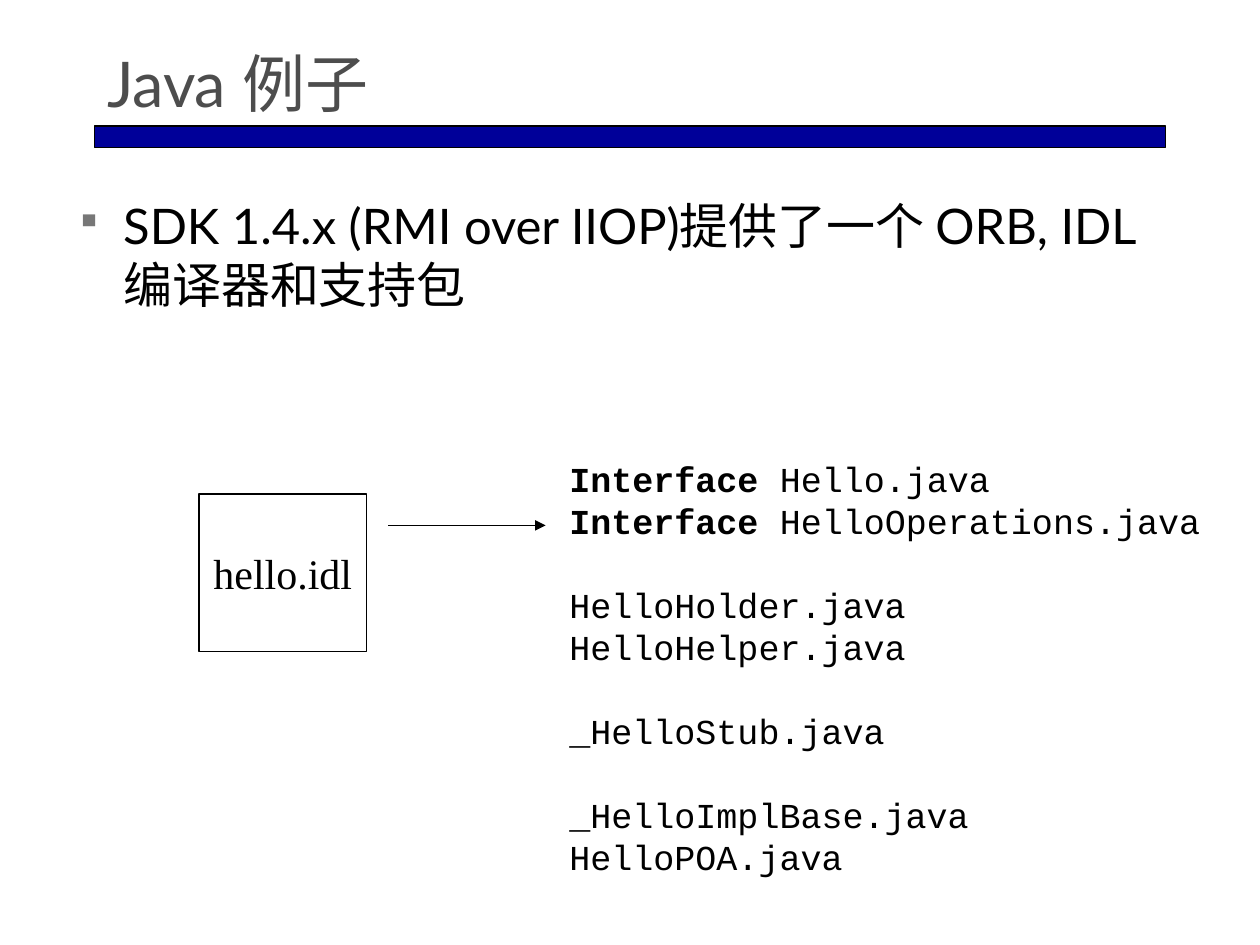
from dataclasses import dataclass

from lxml.etree import SubElement
from pptx import Presentation
from pptx.dml.color import RGBColor as RGB
from pptx.enum.shapes import MSO_CONNECTOR as Connector, MSO_SHAPE as Shape
from pptx.enum.text import MSO_ANCHOR as Anchor, MSO_AUTO_SIZE as AutoSize, PP_ALIGN as Align
from pptx.oxml.ns import qn
from pptx.util import Inches, Pt


@dataclass(frozen=True)
class Theme:
    title: RGB = RGB(0x4D, 0x4D, 0x4D)
    ink: RGB = RGB(0, 0, 0)
    paper: RGB = RGB(0xFF, 0xFF, 0xFF)
    bar: RGB = RGB(0, 0, 0x99)
    bullet: str = "777777"
    sans: str = "Lato"
    serif: str = "Times New Roman"
    mono: str = "Courier New"
    title_size: Pt = Pt(36)
    body_size: Pt = Pt(28)
    label_size: Pt = Pt(24)
    code_size: Pt = Pt(20)
    code_pitch: Pt = Pt(24)
    line_width: Pt = Pt(0.75)


THEME = Theme()

# Groups of generated files; each line is (keyword, file name)
FILE_GROUPS = [
    [("Interface ", "Hello.java"), ("Interface ", "HelloOperations.java")],
    [("", "HelloHolder.java"), ("", "HelloHelper.java")],
    [("", "_HelloStub.java")],
    [("", "_HelloImplBase.java"), ("", "HelloPOA.java")],
]


def inches(*lengths):
    return [Inches(length) for length in lengths]


def style_span(span, font, size, color=THEME.ink, bold=False):
    span.font.name = font
    span.font.size = size
    span.font.color.rgb = color
    span.font.bold = bold


def set_title(page, text, place):
    title = page.shapes.title
    title.left, title.top, title.width, title.height = inches(*place)
    frame = title.text_frame
    frame.text = text
    frame.auto_size = AutoSize.NONE
    frame.vertical_anchor = Anchor.BOTTOM
    para = frame.paragraphs[0]
    para.alignment = Align.LEFT
    style_span(para.runs[0], THEME.sans, THEME.title_size, THEME.title)


def add_rectangle(page, place, fill):
    box = page.shapes.add_shape(Shape.RECTANGLE, *inches(*place))
    box.shadow.inherit = False
    box.fill.solid()
    box.fill.fore_color.rgb = fill
    box.line.color.rgb = THEME.ink
    box.line.width = THEME.line_width
    return box


def add_label_box(page, text, place):
    frame = add_rectangle(page, place, THEME.paper).text_frame
    frame.text = text
    frame.word_wrap = False
    frame.vertical_anchor = Anchor.MIDDLE
    para = frame.paragraphs[0]
    para.alignment = Align.CENTER
    style_span(para.runs[0], THEME.serif, THEME.label_size)


def add_text_box(page, place):
    frame = page.shapes.add_textbox(*inches(*place)).text_frame
    frame.word_wrap = True
    return frame


def add_bullet_text(page, text, place):
    frame = add_text_box(page, place)
    frame.text = text
    para = frame.paragraphs[0]
    para.space_before = Pt(7)
    style_span(para.runs[0], THEME.sans, THEME.body_size)
    # Hanging square bullet
    props = para._p.get_or_add_pPr()
    indent = Inches(0.38)
    props.set("marL", str(indent))
    props.set("indent", str(-indent))
    color = SubElement(props, qn("a:buClr"))
    SubElement(color, qn("a:srgbClr"), val=THEME.bullet)
    SubElement(props, qn("a:buSzPct"), val="75000")
    SubElement(props, qn("a:buChar"), char="▪")


def add_arrow(page, start, end):
    arrow = page.shapes.add_connector(Connector.STRAIGHT, *inches(*start, *end))
    arrow.line.color.rgb = THEME.ink
    arrow.line.width = THEME.line_width
    SubElement(arrow.line._get_or_add_ln(), qn("a:tailEnd"), type="triangle")
    SubElement(arrow._element.spPr, qn("a:effectLst"))


def add_file_list(page, groups, place):
    frame = add_text_box(page, place)
    para = frame.paragraphs[0]
    for group_index, group in enumerate(groups):
        for line_index, (keyword, name) in enumerate(group):
            if group_index or line_index:
                para = frame.add_paragraph()
            para.line_spacing = THEME.code_pitch
            # One line of space between groups
            if group_index and not line_index:
                para.space_before = THEME.code_pitch
            for text, bold in ((keyword, True), (name, False)):
                if text:
                    span = para.add_run()
                    span.text = text
                    style_span(span, THEME.mono, THEME.code_size, bold=bold)


def main():
    deck = Presentation()
    deck.slide_width, deck.slide_height = inches(10, 7.5)
    page = deck.slides.add_slide(deck.slide_layouts.get_by_name("Title Only"))

    # Heading
    add_rectangle(page, (0.75, 1, 8.5, 0.17), THEME.bar)
    set_title(page, "Java 例子", (0.75, 0.33, 8.5, 0.67))

    # Statement
    add_bullet_text(page, "SDK 1.4.x (RMI over IIOP)提供了一个 ORB, IDL 编译器和支持包",
                    (0.5, 1.5, 9, 5.42))

    # From the IDL file to the generated files
    add_label_box(page, "hello.idl", (1.58, 3.92, 1.33, 1.25))
    add_arrow(page, (3.08, 4.17), (4.33, 4.17))
    add_file_list(page, FILE_GROUPS, (4.42, 3.58, 5.25, 3.44))

    deck.save("out.pptx")


if __name__ == "__main__":
    main()
